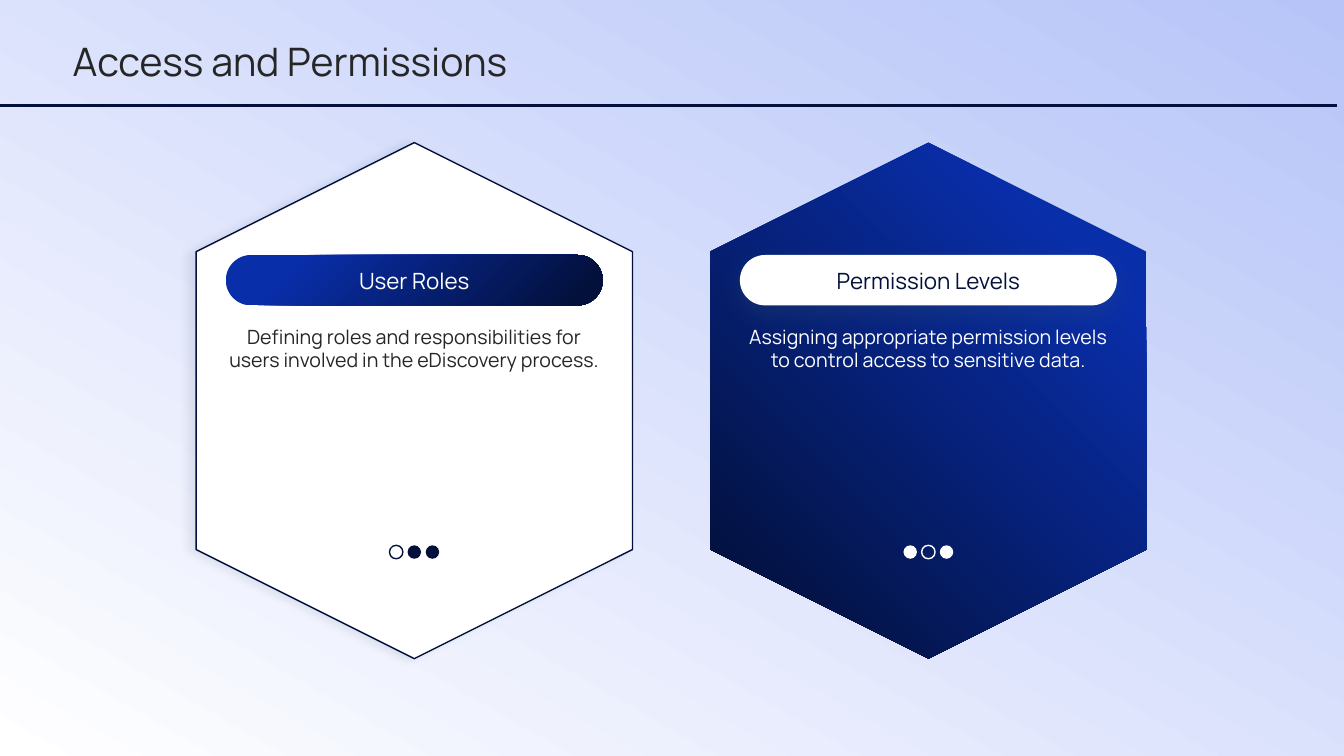
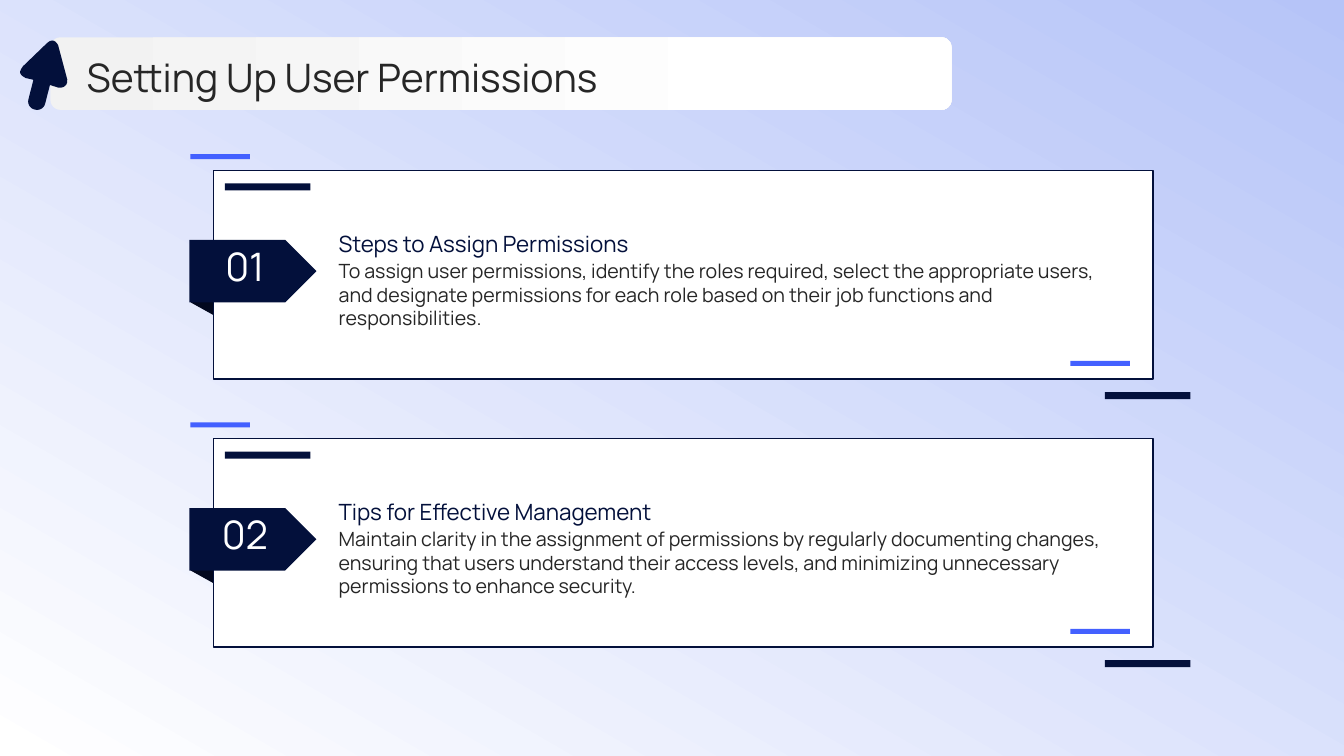
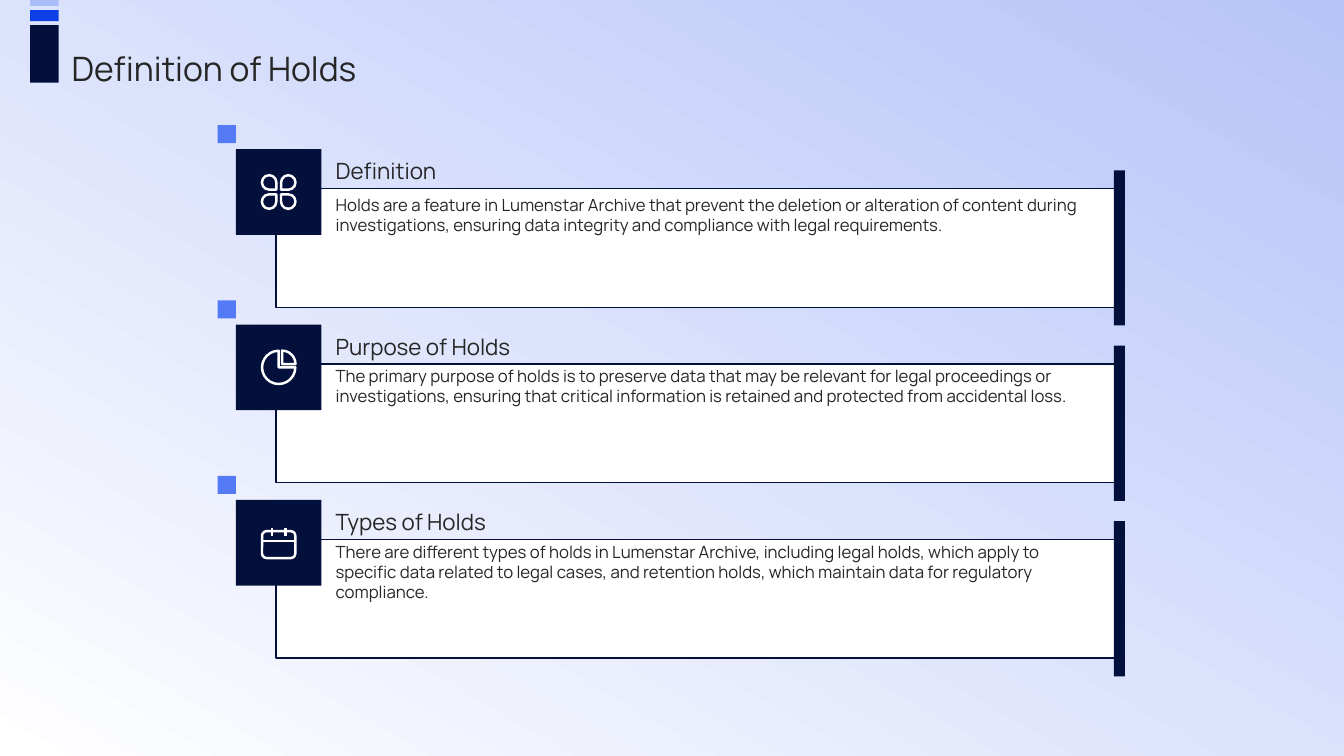
from dataclasses import dataclass
from typing import Callable, Optional

from lxml.etree import SubElement
from pptx import Presentation
from pptx.dml.color import RGBColor
from pptx.enum.shapes import MSO_CONNECTOR, MSO_SHAPE
from pptx.enum.text import MSO_ANCHOR, MSO_AUTO_SIZE, PP_ALIGN
from pptx.oxml.ns import qn
from pptx.util import Emu, Inches, Pt

# Grid: 80 columns by 45 rows of square cells
COLS, ROWS = 80, 45
CELL = Inches(13.333) / COLS
FONT = "Manrope"
COLORS = {
    "navy": "03103B", "royal": "092EAA", "white": "FFFFFF", "ink": "262626",
    "sky": "B6C4F8", "mist": "F2F2F2", "blue": "4360FF", "marker": "547AF6",
    "cobalt": "0C3EE6", "pale": "AABDFB", "fold": "02081E", "slate": "335B74",
}


@dataclass
class Gradient:
    start: str
    end: str
    angle: float  # clockwise degrees
    first: float = 0
    last: float = 1


@dataclass
class Shadow:
    color: str
    alpha: int  # percent
    blur: float
    dist: float
    angle: int


PAGE = Gradient("sky", "white", 120)
DEEP = Gradient("royal", "navy", 45, 0.18, 0.93)


def u(cells: float) -> Emu:
    return Emu(round(cells * CELL))


def rgb(name: str) -> RGBColor:
    return RGBColor.from_string(COLORS[name])


# Shared drawing helpers
def paint(fill, paint_with) -> None:
    if paint_with is None:
        fill.background()
    elif isinstance(paint_with, Gradient):
        fill.gradient()
        fill.gradient_angle = 360 - paint_with.angle
        ends = ((paint_with.first, paint_with.start), (paint_with.last, paint_with.end))
        for stop, (position, color) in zip(fill.gradient_stops, ends):
            stop.position = position
            stop.color.rgb = rgb(color)
    else:
        fill.solid()
        fill.fore_color.rgb = rgb(paint_with)


def style(sp, fill=None, line: Optional[str] = None, weight: float = 1,
          shadow: Optional[Shadow] = None) -> None:
    paint(sp.fill, fill)
    if line:
        sp.line.color.rgb = rgb(line)
        sp.line.width = Pt(weight)
    else:
        sp.line.fill.background()
    sp.shadow.inherit = False
    if shadow:
        effects = sp._element.spPr.find(qn("a:effectLst"))
        outer = SubElement(effects, qn("a:outerShdw"), blurRad=str(Pt(shadow.blur)),
                           dist=str(Pt(shadow.dist)), dir=str(shadow.angle * 60000),
                           algn="ctr", rotWithShape="0")
        color = SubElement(outer, qn("a:srgbClr"), val=COLORS[shadow.color])
        SubElement(color, qn("a:alpha"), val=str(shadow.alpha * 1000))


def shape(s, kind, x: float, y: float, w: float, h: float, fill=None,
          rotation: float = 0, **look):
    sp = s.shapes.add_shape(kind, u(x), u(y), u(w), u(h))
    sp.rotation = rotation
    style(sp, fill, **look)
    return sp


def rect(s, x: float, y: float, w: float, h: float, fill, **look):
    return shape(s, MSO_SHAPE.RECTANGLE, x, y, w, h, fill, **look)


def line(s, x1: float, y1: float, x2: float, y2: float, color: str, weight: float) -> None:
    cn = s.shapes.add_connector(MSO_CONNECTOR.STRAIGHT, u(x1), u(y1), u(x2), u(y2))
    cn.line.color.rgb = rgb(color)
    cn.line.width = Pt(weight)
    SubElement(cn._element.spPr, qn("a:effectLst"))


def write(sp, text: str, size: int, color: str, align=PP_ALIGN.LEFT,
          anchor=MSO_ANCHOR.TOP) -> None:
    tf = sp.text_frame
    tf.text = text
    tf.word_wrap = True
    tf.auto_size = MSO_AUTO_SIZE.NONE
    tf.vertical_anchor = anchor
    tf.margin_left = tf.margin_right = tf.margin_top = tf.margin_bottom = 0
    p = tf.paragraphs[0]
    p.alignment = align
    r = p.runs[0]
    r.font.name = FONT
    r.font.size = Pt(size)
    r.font.color.rgb = rgb(color)


def label(s, x: float, y: float, w: float, h: float, text: str, size: int,
          color: str, **layout) -> None:
    write(s.shapes.add_textbox(u(x), u(y), u(w), u(h)), text, size, color, **layout)


def title(s, text: str, x: float, y: float, size: int = 28) -> None:
    sp = s.shapes.title
    sp.left, sp.top, sp.width, sp.height = u(x), u(y), u(70), u(3)
    write(sp, text, size, "ink", anchor=MSO_ANCHOR.MIDDLE)
    s.shapes._spTree.append(sp._element)  # bring the title to the front


# Slide 1: hexagon cards
@dataclass
class Hexagon:
    name: str
    text: str
    fill: object
    outline: Optional[str]
    shadow: Optional[Shadow]
    pill: object
    pill_shadow: Optional[Shadow]
    name_color: str
    text_color: str
    dot_color: str
    open_dot: int


HEXAGONS = [
    Hexagon("User Roles",
            "Defining roles and responsibilities for users involved in the eDiscovery process.",
            "white", "navy", Shadow("navy", 8, 5.6, 6, 180), DEEP, None,
            "white", "ink", "navy", 0),
    Hexagon("Permission Levels",
            "Assigning appropriate permission levels to control access to sensitive data.",
            DEEP, None, None, "white", Shadow("slate", 28, 19, 6, 90),
            "navy", "white", "white", 1),
]


def draw_hexagon(s, card: Hexagon, cx: float) -> None:
    shape(s, MSO_SHAPE.HEXAGON, cx - 15.36, 10.86, 30.72, 25.98, card.fill, 90,
          line=card.outline, shadow=card.shadow)
    w = 22.44
    pill = shape(s, MSO_SHAPE.ROUNDED_RECTANGLE, cx - w / 2, 15.18, w, 3, card.pill,
                 shadow=card.pill_shadow)
    pill.adjustments[0] = 0.5
    write(pill, card.name, 16, card.name_color, PP_ALIGN.CENTER, MSO_ANCHOR.MIDDLE)
    label(s, cx - w / 2, 19.32, w, 12.48, card.text, 14, card.text_color,
          align=PP_ALIGN.CENTER)
    for i in range(3):
        is_open = i == card.open_dot
        shape(s, MSO_SHAPE.OVAL, cx + (i - 1) * 1.08 - 0.4, 32.46, 0.8, 0.8,
              None if is_open else card.dot_color,
              line=card.dot_color if is_open else None)


def access_slide(s) -> None:
    for i, card in enumerate(HEXAGONS):
        draw_hexagon(s, card, 24.66 + i * 30.6)
    title(s, "Access and Permissions", 4.32, 2.1)
    line(s, 0, 6.3, 79.56, 6.3, "navy", 2.25)


# Slide 2: numbered cards
@dataclass
class Step:
    name: str
    text: str


STEPS = [
    Step("Steps to Assign Permissions",
         "To assign user permissions, identify the roles required, select the appropriate "
         "users, and designate permissions for each role based on their job functions and "
         "responsibilities."),
    Step("Tips for Effective Management",
         "Maintain clarity in the assignment of permissions by regularly documenting "
         "changes, ensuring that users understand their access levels, and minimizing "
         "unnecessary permissions to enhance security."),
]
LONG_BARS = [(53.04, 13.2), (0.66, 0.78)]
SHORT_BARS = [(51, 11.34), (-1.38, -0.96)]

# Arrow outline: pairs are corners, sixes are Bezier curves
ARROW = [
    (1.62, 3.48), (1.56, 3.6, 1.56, 3.72, 1.68, 3.96), (1.98, 4.32), (1.08, 5.04),
    (0.84, 5.22, 0.78, 5.52, 0.96, 5.76), (1.14, 6, 1.44, 6.06, 1.68, 5.88),
    (2.58, 5.16), (2.88, 5.58), (2.88, 5.58, 3.3, 6, 3.6, 5.52), (4.38, 3.6),
    (4.38, 3.6, 4.56, 3, 3.96, 3.06), (1.98, 3.3), (1.98, 3.3, 1.74, 3.36, 1.62, 3.48),
]


def outline_points(parts: list, steps: int = 8) -> list:
    points = []
    for part in parts:
        if len(part) == 2:
            points.append(part)
            continue
        ctrl = [points[-1], part[:2], part[2:4], part[4:]]
        for i in range(1, steps + 1):
            t = i / steps
            weights = ((1 - t) ** 3, 3 * t * (1 - t) ** 2, 3 * t * t * (1 - t), t ** 3)
            points.append(tuple(sum(k * c[axis] for k, c in zip(weights, ctrl))
                                for axis in (0, 1)))
    return points


def draw_step(s, number: int, step: Step, y: float) -> None:
    x = 12.72
    shape(s, MSO_SHAPE.ISOSCELES_TRIANGLE, x - 1.08, y + 6.9, 1.68, 1.44, "fold", 29.1,
          line="fold")
    rect(s, x, y, 55.92, 12.42, "white", line="navy")
    shape(s, MSO_SHAPE.PENTAGON, x - 1.44, y + 4.14, 7.56, 3.72, "navy")
    label(s, x - 0.24, y + 4.26, 4.2, 3.48, f"{number:02d}", 28, "white",
          align=PP_ALIGN.CENTER)
    label(s, x + 7.44, y + 5.28, 46.38, 5.34, step.text, 14, "ink")
    label(s, x + 7.44, y + 1.68, 46.38, 3.48, step.name, 16, "navy",
          anchor=MSO_ANCHOR.BOTTOM)
    for dx, dy in LONG_BARS:
        rect(s, x + dx, y + dy, 5.1, 0.42, "navy")
    for dx, dy in SHORT_BARS:
        rect(s, x + dx, y + dy, 3.54, 0.3, "blue")


def setup_slide(s) -> None:
    for i, step in enumerate(STEPS):
        draw_step(s, i + 1, step, 10.14 + i * 15.96)
    panel = shape(s, MSO_SHAPE.ROUNDED_RECTANGLE, 3, 2.22, 53.64, 4.32,
                  Gradient("mist", "white", 0, 0, 0.8))
    panel.adjustments[0] = 0.14
    title(s, "Setting Up User Permissions", 5.16, 3.06)
    points = [(u(x), u(y)) for x, y in outline_points(ARROW)]
    builder = s.shapes.build_freeform(*points[0])
    builder.add_line_segments(points[1:])
    arrow = builder.convert_to_shape()
    arrow.rotation = 323
    style(arrow, "navy")


# Slide 3: icon rows
STROKE = {"line": "white", "weight": 1.75}


def clover_icon(s, cx: float, cy: float) -> None:
    petals = [(-1, -1, 90), (0.14, -1, 180), (-1, 0.14, 0), (0.14, 0.14, 270)]
    for dx, dy, turn in petals:
        shape(s, MSO_SHAPE.TEAR, cx + dx, cy + dy, 0.86, 0.86, None, turn, **STROKE)


def pie_icon(s, cx: float, cy: float) -> None:
    shape(s, MSO_SHAPE.PIE, cx - 0.99, cy - 0.99, 1.98, 1.98, **STROKE)
    shape(s, MSO_SHAPE.PIE_WEDGE, cx + 0.2, cy - 1, 0.8, 0.8, None, 90, **STROKE)


def calendar_icon(s, cx: float, cy: float) -> None:
    shape(s, MSO_SHAPE.ROUNDED_RECTANGLE, cx - 0.99, cy - 0.69, 1.98, 1.6, **STROKE)
    line(s, cx - 0.99, cy - 0.12, cx + 0.99, cy - 0.12, "white", 1.75)
    for dx in (-0.4, 0.4):
        line(s, cx + dx, cy - 0.9, cx + dx, cy - 0.4, "white", 1.75)


@dataclass
class Hold:
    name: str
    text: str
    icon: Callable
    text_dy: float = 0.12


HOLDS = [
    Hold("Definition",
         "Holds are a feature in Lumenstar Archive that prevent the deletion or alteration "
         "of content during investigations, ensuring data integrity and compliance with "
         "legal requirements.", clover_icon, 0.36),
    Hold("Purpose of Holds",
         "The primary purpose of holds is to preserve data that may be relevant for legal "
         "proceedings or investigations, ensuring that critical information is retained "
         "and protected from accidental loss.", pie_icon),
    Hold("Types of Holds",
         "There are different types of holds in Lumenstar Archive, including legal holds, "
         "which apply to specific data related to legal cases, and retention holds, which "
         "maintain data for regulatory compliance.", calendar_icon),
]
ACCENTS = [(0, 0.36, "pale"), (0.6, 0.66, "cobalt"), (1.5, 3.42, "navy")]


def draw_hold(s, hold: Hold, y: float) -> None:
    x, tile = 16.44, 5.1
    rect(s, x, y, 50.16, 7.08, "white", line="navy")
    rect(s, x + 49.86, y - 1.08, 0.66, 9.24, "navy")
    rect(s, x - 2.4, y - 2.34, tile, tile, "navy")
    hold.icon(s, x - 2.4 + tile / 2, y - 2.34 + tile / 2)
    rect(s, x - 3.48, y - 3.78, 1.08, 1.08, "marker")
    label(s, x + 3.54, y - 2.7, 45, 2.46, hold.name, 16, "ink", anchor=MSO_ANCHOR.BOTTOM)
    label(s, x + 3.54, y + hold.text_dy, 45, 6.18, hold.text, 12, "ink")


def holds_slide(s) -> None:
    for i, hold in enumerate(HOLDS):
        draw_hold(s, hold, 11.22 + i * 10.44)
    title(s, "Definition of Holds", 4.26, 2.55, 24)
    for y, h, color in ACCENTS:
        rect(s, 1.8, y, 1.7, h, color)


def main() -> None:
    prs = Presentation()
    prs.slide_width, prs.slide_height = u(COLS), u(ROWS)
    paint(prs.slide_master.background.fill, PAGE)
    for draw in (access_slide, setup_slide, holds_slide):
        draw(prs.slides.add_slide(prs.slide_layouts.get_by_name("Title Only")))
    prs.save("out.pptx")


if __name__ == "__main__":
    main()
